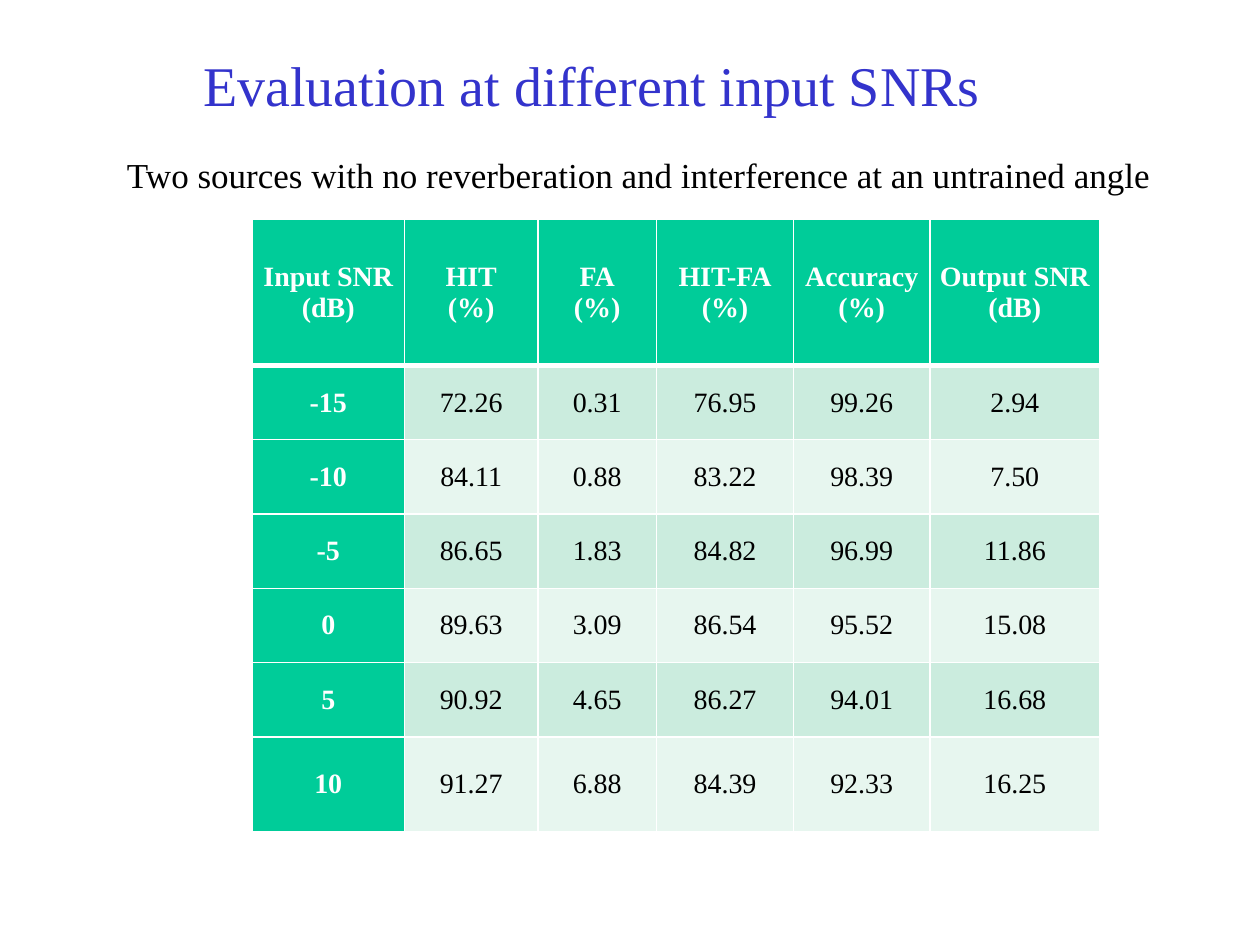
"""Build a slide with a table of separation results at different input SNRs."""
import lxml.etree
import pptx
import pptx.dml.color
import pptx.enum.text
import pptx.oxml.ns
import pptx.util

Inches = pptx.util.Inches
Pt = pptx.util.Pt
RGBColor = pptx.dml.color.RGBColor
ALIGN = pptx.enum.text.PP_ALIGN
MIDDLE = pptx.enum.text.MSO_ANCHOR.MIDDLE
qn = pptx.oxml.ns.qn

FONT = "Times New Roman"
BLUE = RGBColor(0x33, 0x33, 0xCC)
BLACK = RGBColor(0, 0, 0)
WHITE = RGBColor(0xFF, 0xFF, 0xFF)
GREEN = RGBColor(0x00, 0xCC, 0x99)
DARK_BAND = RGBColor(0xCB, 0xEC, 0xDE)
LIGHT_BAND = RGBColor(0xE7, 0xF6, 0xEF)

HEADERS = [("Input SNR", "(dB)"), ("HIT", "(%)"), ("FA", "(%)"),
           ("HIT-FA", "(%)"), ("Accuracy", "(%)"), ("Output SNR", "(dB)")]
RESULTS = [
    ("-15", "72.26", "0.31", "76.95", "99.26", "2.94"),
    ("-10", "84.11", "0.88", "83.22", "98.39", "7.50"),
    ("-5", "86.65", "1.83", "84.82", "96.99", "11.86"),
    ("0", "89.63", "3.09", "86.54", "95.52", "15.08"),
    ("5", "90.92", "4.65", "86.27", "94.01", "16.68"),
    ("10", "91.27", "6.88", "84.39", "92.33", "16.25"),
]
COLUMN_WIDTHS = [1.21, 1.06, 0.94, 1.09, 1.08, 1.35]
ROW_HEIGHTS = [1.16] + [0.59] * 5 + [0.75]


def write_lines(frame, lines, size, color, align, bold=False):
    for index, line in enumerate(lines):
        para = frame.add_paragraph() if index else frame.paragraphs[0]
        para.alignment = align
        span = para.add_run()
        span.text = line
        span.font.name = FONT
        span.font.size = Pt(size)
        span.font.bold = bold
        span.font.color.rgb = color


def add_border(cell, side, width):
    properties = cell._tc.get_or_add_tcPr()
    line = lxml.etree.SubElement(properties, qn("a:ln" + side), w=str(Pt(width)))
    fill = lxml.etree.SubElement(line, qn("a:solidFill"))
    lxml.etree.SubElement(fill, qn("a:srgbClr"), val=str(WHITE))


deck = pptx.Presentation()
deck.slide_width = Inches(10)
deck.slide_height = Inches(7.5)
page = deck.slides.add_slide(deck.slide_layouts[6])

title = page.shapes.add_textbox(Inches(0.2), Inches(0.32), Inches(9), Inches(0.69))
title.text_frame.word_wrap = True
title.text_frame.vertical_anchor = MIDDLE
write_lines(title.text_frame, ["Evaluation at different input SNRs"], 32, BLUE, ALIGN.CENTER)

subtitle = page.shapes.add_textbox(Inches(0.91), Inches(1.23), Inches(8.46), Inches(0.44))
subtitle.text_frame.word_wrap = True
write_lines(subtitle.text_frame,
            ["Two sources with no reverberation and interference at an untrained angle"],
            20, BLACK, ALIGN.LEFT)
subtitle.text_frame.paragraphs[0].line_spacing = 0.8

table = page.shapes.add_table(len(ROW_HEIGHTS), len(COLUMN_WIDTHS), Inches(2), Inches(1.74),
                              Inches(6.72), Inches(4.88)).table
table.first_col = True
for column, width in zip(table.columns, COLUMN_WIDTHS):
    column.width = Inches(width)
for row, height in zip(table.rows, ROW_HEIGHTS):
    row.height = Inches(height)

rows = [HEADERS] + [[(value,) for value in result] for result in RESULTS]
for row_index, row in enumerate(rows):
    for column_index, lines in enumerate(row):
        cell = table.cell(row_index, column_index)
        is_heading = row_index == 0 or column_index == 0
        side_margin = 0 if lines[0] == "Accuracy" else 0.08
        cell.margin_left = cell.margin_right = Inches(side_margin)
        cell.margin_top = cell.margin_bottom = 0
        cell.vertical_anchor = MIDDLE
        add_border(cell, "L", 1)
        add_border(cell, "R", 1)
        add_border(cell, "T", 3 if row_index == 1 else 1)
        add_border(cell, "B", 3 if row_index == 0 else 1)
        cell.fill.solid()
        band = DARK_BAND if row_index % 2 else LIGHT_BAND
        cell.fill.fore_color.rgb = GREEN if is_heading else band
        write_lines(cell.text_frame, lines, 16, WHITE if is_heading else BLACK,
                    ALIGN.CENTER, is_heading)

deck.save("out.pptx")
